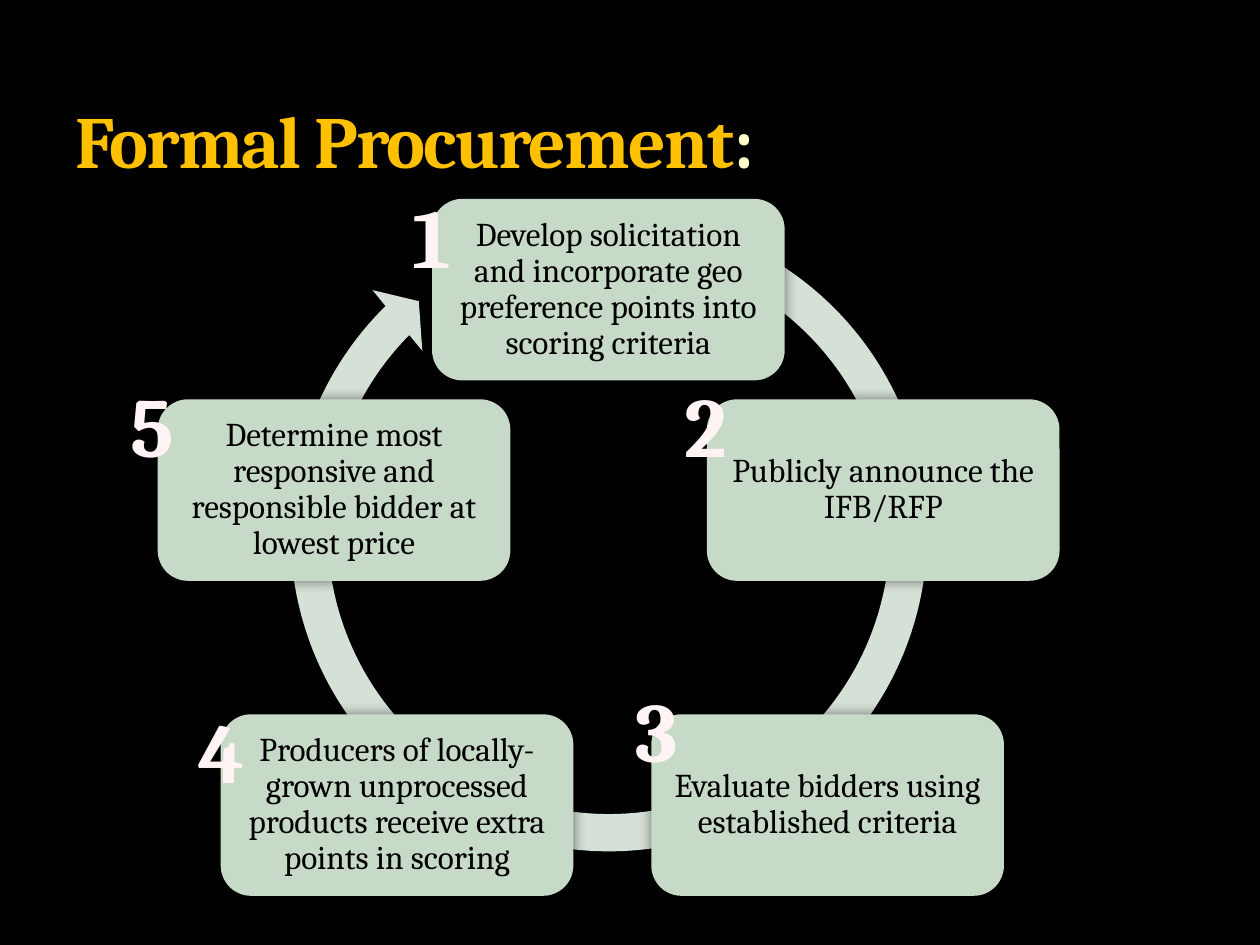
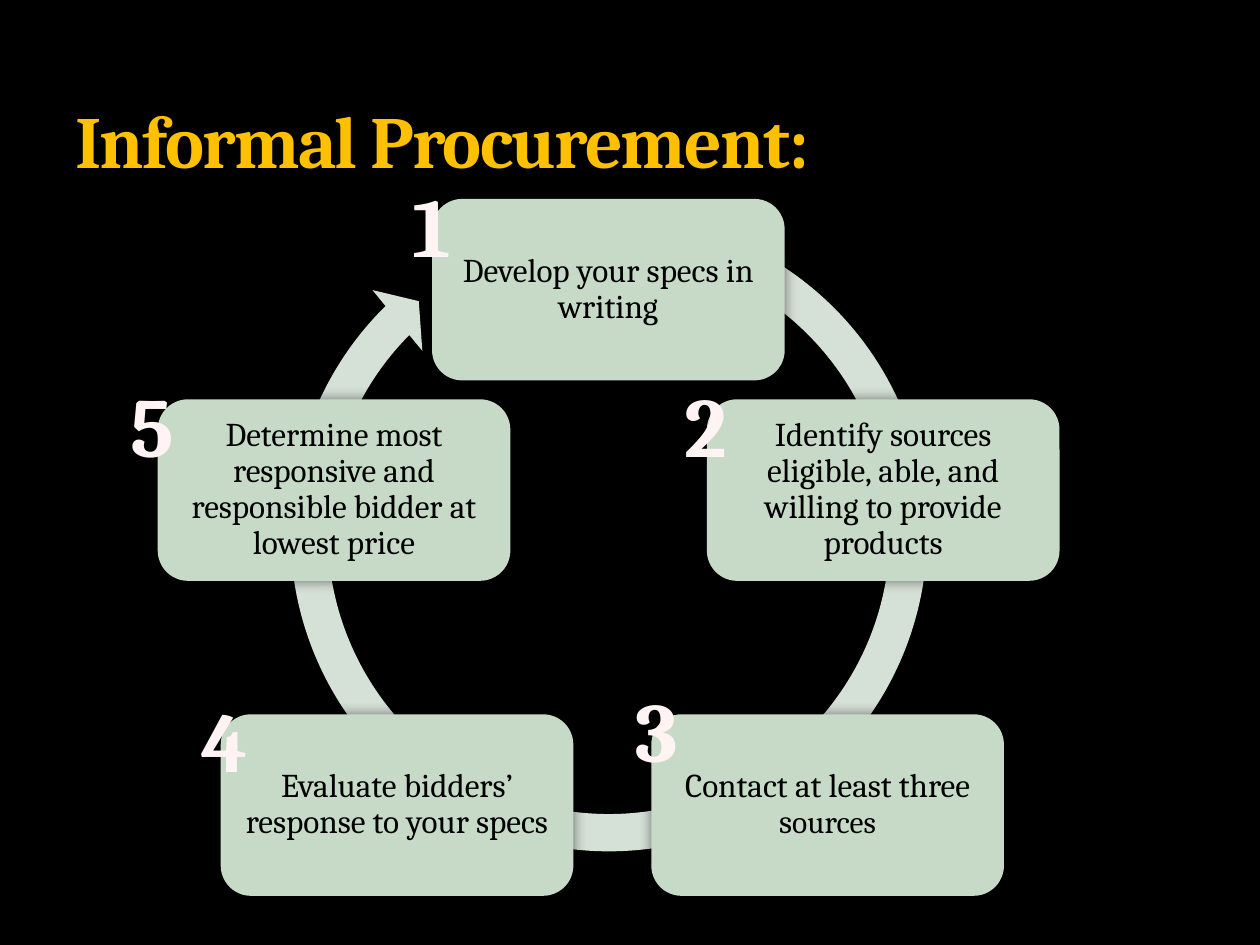
from lxml.etree import SubElement
from pptx import Presentation
from pptx.dml.color import RGBColor
from pptx.enum.shapes import MSO_SHAPE
from pptx.enum.text import MSO_ANCHOR, PP_ALIGN
from pptx.oxml import parse_xml
from pptx.oxml.ns import nsdecls, qn
from pptx.util import Cm, Pt

# A bar splits a text into runs; the second run takes the second size or colour.
SLIDES = [
    {
        "title": "Formal Procurement|:",
        "steps": [
            "Develop solicitation and incorporate geo preference points into scoring criteria",
            "Publicly announce the IFB/RFP",
            "Evaluate bidders using established criteria",
            "Producers of locally-grown unprocessed products receive extra points in scoring",
            "Determine most responsive and responsible bidder at lowest price",
        ],
        "moved_numbers": {1: (8.05, 3.6), 4: (3.76, 13.97)},
    },
    {
        "title": "Informal Procurement:",
        "steps": [
            "Develop your specs in writing",
            "Identify sources eligible, able, and willing to provide products",
            "Contact at least three s|ources",
            "Evaluate bidders’ response to your specs",
            "Determine most responsive and responsible bidder at lowest price",
        ],
        "moved_numbers": {},
    },
]

COLORS = {
    "background": "000000",
    "title": "FFC000",
    "title_end": "FFFFCC",
    "title_outline": "5B5E4B",
    "ring": "D5E0D6",
    "step": "C7DAC8",
    "step_text": "000000",
    "number": "FFF3F3",
    "number_outline": "BC7777",
    "shadow": "000000",
}
FONT = "Cambria"
STEP_SIZES = (19, 18)

# Lengths in centimetres
RING = (5.44, 3.91, 13.67, 13.67)
RING_ADJUSTMENTS = (0.055, 3.307, 135.082, 175.512, 0.058)
STEP_WIDTH, STEP_HEIGHT = 7.11, 3.66
STEP_INSET = 0.2
TOP, MIDDLE, BOTTOM = 4.01, 8.05, 14.4
STEP_POSITIONS = [(8.71, TOP), (14.25, MIDDLE), (13.13, BOTTOM), (4.45, BOTTOM), (3.18, MIDDLE)]
NUMBER_POSITIONS = [(8.05, 3.38), (13.54, 7.41), (12.57, 13.55), (3.82, 13.76), (2.39, 7.41)]
NUMBER_WIDTH, NUMBER_HEIGHT = 1.32, 2.31
TITLE_BOX = (1.27, 0.42, 22.86, 3.39)


def color(name):
    return RGBColor.from_string(COLORS[name])


def add_runs(paragraph, text, sizes, colors, bold=False):
    for part, size, color_name in zip(text.split("|"), sizes, colors):
        run = paragraph.add_run()
        run.text = part
        run.font.name = FONT
        run.font.size = Pt(size)
        run.font.bold = bold
        run.font.color.rgb = color(color_name)


def outline_runs(paragraph, color_name, width, alpha=100):
    for run in paragraph.runs:
        run.font._element.insert(0, parse_xml(
            f'<a:ln {nsdecls("a")} w="{Pt(width)}"><a:solidFill>'
            f'<a:srgbClr val="{COLORS[color_name]}"><a:alpha val="{alpha * 1000}"/></a:srgbClr>'
            f'</a:solidFill></a:ln>'))


def add_glowing_shape(slide, kind, box, fill):
    """Add a borderless shape with a soft shadow on all sides."""
    shape = slide.shapes.add_shape(kind, *map(Cm, box))
    shape.fill.solid()
    shape.fill.fore_color.rgb = color(fill)
    shape.line.fill.background()
    shape.shadow.inherit = False
    effects = shape._element.spPr.find(qn("a:effectLst"))
    shadow = SubElement(effects, qn("a:outerShdw"), blurRad=str(Pt(7.5)), dist="0", dir="0")
    shadow_color = SubElement(shadow, qn("a:srgbClr"), val=COLORS["shadow"])
    SubElement(shadow_color, qn("a:alpha"), val="50000")
    return shape


def add_ring(slide):
    ring = add_glowing_shape(slide, MSO_SHAPE.CIRCULAR_ARROW, RING, "ring")
    for index, value in enumerate(RING_ADJUSTMENTS):
        ring.adjustments[index] = value


def add_step(slide, position, text):
    box = (*position, STEP_WIDTH, STEP_HEIGHT)
    step = add_glowing_shape(slide, MSO_SHAPE.ROUNDED_RECTANGLE, box, "step")
    frame = step.text_frame
    frame.word_wrap = True
    frame.vertical_anchor = MSO_ANCHOR.MIDDLE
    frame.margin_left = frame.margin_right = Cm(STEP_INSET)
    frame.margin_top = frame.margin_bottom = Cm(STEP_INSET)
    paragraph = frame.paragraphs[0]
    paragraph.alignment = PP_ALIGN.CENTER
    paragraph.line_spacing = 0.9
    add_runs(paragraph, text, STEP_SIZES, ("step_text", "step_text"))


def add_title(slide, text):
    frame = slide.shapes.add_textbox(*map(Cm, TITLE_BOX)).text_frame
    frame.word_wrap = True
    frame.vertical_anchor = MSO_ANCHOR.BOTTOM
    paragraph = frame.paragraphs[0]
    add_runs(paragraph, text, (42, 42), ("title", "title_end"), bold=True)
    outline_runs(paragraph, "title_outline", 0.25, alpha=25)
    for run in paragraph.runs:
        run.font._element.set("spc", "-100")


def add_number(slide, position, number):
    box = (*position, NUMBER_WIDTH, NUMBER_HEIGHT)
    frame = slide.shapes.add_textbox(*map(Cm, box)).text_frame
    frame.word_wrap = False
    paragraph = frame.paragraphs[0]
    paragraph.alignment = PP_ALIGN.CENTER
    add_runs(paragraph, str(number), (48,), ("number",), bold=True)
    outline_runs(paragraph, "number_outline", 2.48)


def add_cycle_slide(presentation, content):
    slide = presentation.slides.add_slide(presentation.slide_layouts[6])
    slide.background.fill.solid()
    slide.background.fill.fore_color.rgb = color("background")
    add_ring(slide)
    for position, text in zip(STEP_POSITIONS, content["steps"]):
        add_step(slide, position, text)
    add_title(slide, content["title"])
    for number, position in enumerate(NUMBER_POSITIONS, start=1):
        add_number(slide, content["moved_numbers"].get(number, position), number)


def main():
    presentation = Presentation()
    presentation.slide_width, presentation.slide_height = Cm(25.4), Cm(19.05)
    for content in SLIDES:
        add_cycle_slide(presentation, content)
    presentation.save("out.pptx")


if __name__ == "__main__":
    main()
